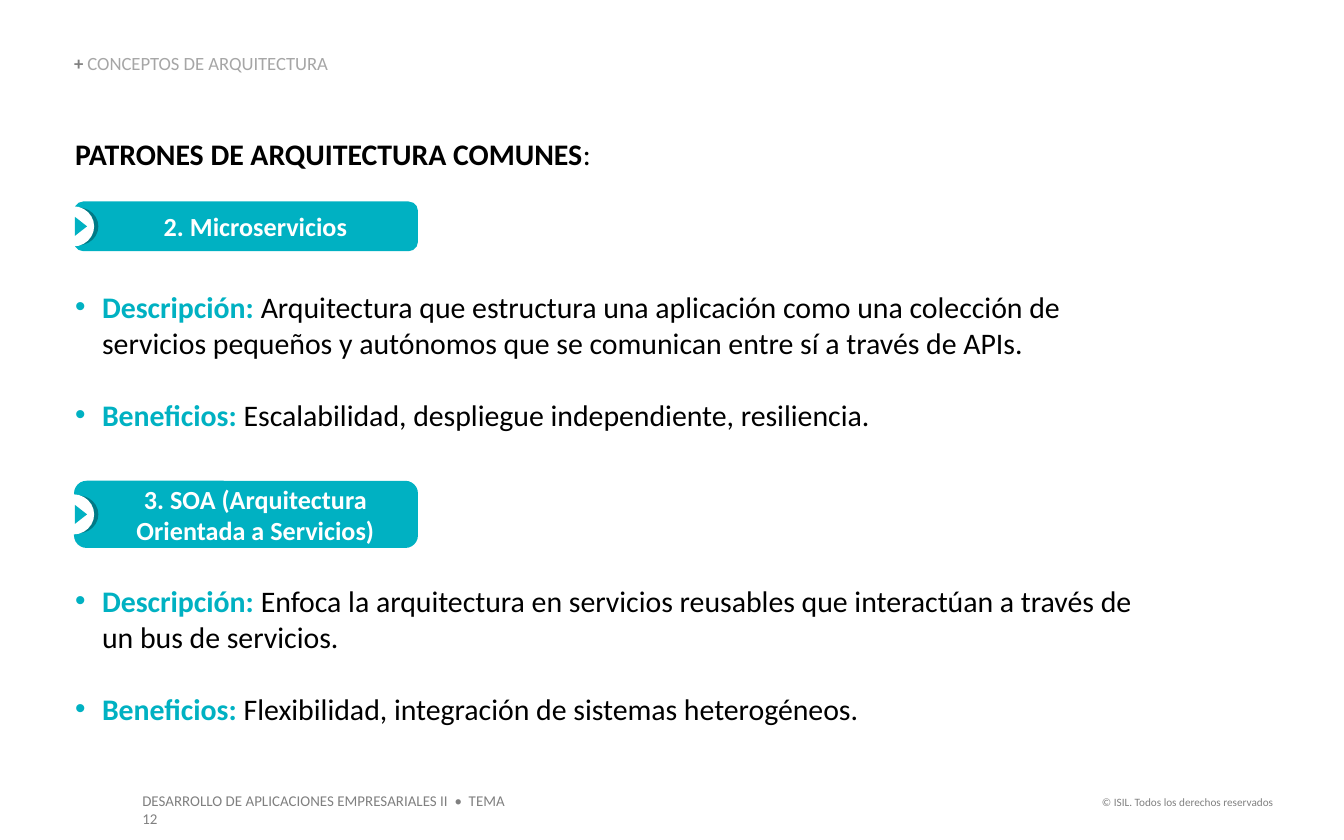
from dataclasses import dataclass

from lxml.etree import SubElement
from pptx import Presentation
from pptx.dml.color import RGBColor
from pptx.enum.shapes import MSO_SHAPE as Shape
from pptx.enum.text import MSO_ANCHOR as Anchor, PP_ALIGN as Align
from pptx.oxml.ns import qn
from pptx.util import Cm, Pt

COLORS = {
    "teal": "00B1C2", "dark_teal": "007A86", "white": "FFFFFF",
    "black": "000000", "gray": "808080", "light_gray": "A6A6A6",
}
FONT = "Calibri"
LEFT = 1.42


@dataclass
class Span:
    text: str
    size: float
    color: str
    bold: bool = False


@dataclass
class Pattern:
    title: str
    pill_top: float
    pill_height: float
    body_top: float
    body_height: float
    description: str
    benefits: str


PATTERNS = [
    Pattern("2. Microservicios", 3.81, 0.94, 5.46, 3.43,
            "Arquitectura que estructura una aplicación como una colección de servicios "
            "pequeños y autónomos que se comunican entre sí a través de APIs.",
            "Escalabilidad, despliegue independiente, resiliencia."),
    Pattern("3. SOA (Arquitectura\vOrientada a Servicios)", 9.09, 1.27, 11.02, 2.74,
            "Enfoca la arquitectura en servicios reusables que interactúan a través de "
            "un bus de servicios.",
            "Flexibilidad, integración de sistemas heterogéneos."),
]


def rgb(name: str) -> RGBColor:
    return RGBColor.from_string(COLORS[name])


def style_run(r, size: float, color: str, bold: bool) -> None:
    r.font.name = FONT
    r.font.size = Pt(size)
    r.font.bold = bold
    r.font.color.rgb = rgb(color)


def add_spans(p, spans: list[Span]) -> None:
    for span in spans:
        r = p.add_run()
        r.text = span.text
        style_run(r, span.size, span.color, span.bold)


def add_box(s, left: float, top: float, width: float, height: float,
            inset: tuple[float, float] = (0, 0)):
    tf = s.shapes.add_textbox(Cm(left), Cm(top), Cm(width), Cm(height)).text_frame
    tf.word_wrap = True
    tf.margin_left = tf.margin_right = Cm(inset[0])
    tf.margin_top = tf.margin_bottom = Cm(inset[1])
    return tf


def add_bullet(p) -> None:
    pPr = p._p.get_or_add_pPr()
    pPr.set("marL", str(Cm(0.51)))
    pPr.set("indent", str(Cm(-0.51)))
    color = SubElement(pPr, qn("a:buClr"))
    SubElement(color, qn("a:srgbClr")).set("val", COLORS["teal"])
    SubElement(pPr, qn("a:buFont")).set("typeface", "Arial")
    SubElement(pPr, qn("a:buChar")).set("char", "•")


def add_filled(group, kind, left: float, middle: float, width: float, height: float, color: str):
    sp = group.shapes.add_shape(kind, Cm(left), Cm(middle - height / 2), Cm(width), Cm(height))
    sp.shadow.inherit = False
    sp.fill.solid()
    sp.fill.fore_color.rgb = rgb(color)
    sp.line.fill.background()
    return sp


def add_pill(s, pattern: Pattern) -> None:
    group = s.shapes.add_group_shape()
    middle = pattern.pill_top + pattern.pill_height / 2
    pill = add_filled(group, Shape.ROUNDED_RECTANGLE, 1.4, middle, 6.5, pattern.pill_height, "teal")
    pill.adjustments[0] = 0.188
    tf = pill.text_frame
    tf.word_wrap = True
    tf.vertical_anchor = Anchor.MIDDLE
    tf.margin_left, tf.margin_right = Cm(0.61), Cm(0.25)
    tf.margin_top = tf.margin_bottom = Cm(0.13)
    p = tf.paragraphs[0]
    p.text = pattern.title
    p.alignment = Align.CENTER
    for r in p.runs:
        style_run(r, 14, "white", True)
    add_filled(group, Shape.OVAL, 1.12, middle, 0.74, 0.71, "dark_teal")
    add_filled(group, Shape.OVAL, 0.99, middle, 0.79, 0.76, "white")
    arrow = add_filled(group, Shape.ISOSCELES_TRIANGLE, 1.35, middle, 0.36, 0.23, "teal")
    arrow.rotation = 90


def add_body(s, pattern: Pattern) -> None:
    tf = add_box(s, LEFT, pattern.body_top, 20.68, pattern.body_height)
    items = [("Descripción: ", pattern.description), ("Beneficios: ", pattern.benefits)]
    for i, (label, text) in enumerate(items):
        p = tf.add_paragraph() if i else tf.paragraphs[0]
        add_bullet(p)
        if i:
            p.space_before = Pt(19.5)
        add_spans(p, [Span(label, 16, "teal", True), Span(text, 16, "black")])


def main() -> None:
    """Build the architecture patterns slide."""
    prs = Presentation()
    prs.slide_width, prs.slide_height = Cm(25.4), Cm(15.88)
    s = prs.slides.add_slide(prs.slide_layouts[6])

    p = add_box(s, 20.5, 14.91, 3.81, 0.51, (0.25, 0.13)).paragraphs[0]
    p.alignment = Align.RIGHT
    add_spans(p, [Span("© ISIL. Todos los derechos reservados", 6, "gray")])

    p = add_box(s, 2.44, 14.83, 7.67, 0.61, (0.25, 0.13)).paragraphs[0]
    add_spans(p, [Span("DESARROLLO DE APLICACIONES EMPRESARIALES II  •  TEMA 12", 8, "gray")])

    tf = add_box(s, 1.4, 1.04, 6.76, 0.38)
    tf.vertical_anchor = Anchor.BOTTOM
    p = tf.paragraphs[0]
    p.line_spacing = 0.9
    add_spans(p, [Span("+ ", 10, "gray", True),
                  Span("CONCEPTOS DE ARQUITECTURA", 10, "light_gray")])

    p = add_box(s, LEFT, 2.57, 22.3, 0.69).paragraphs[0]
    add_spans(p, [Span("PATRONES DE ARQUITECTURA COMUNES", 16, "black", True),
                  Span(":", 16, "black")])

    for pattern in PATTERNS:
        add_pill(s, pattern)
        add_body(s, pattern)
    prs.save("out.pptx")


if __name__ == "__main__":
    main()
